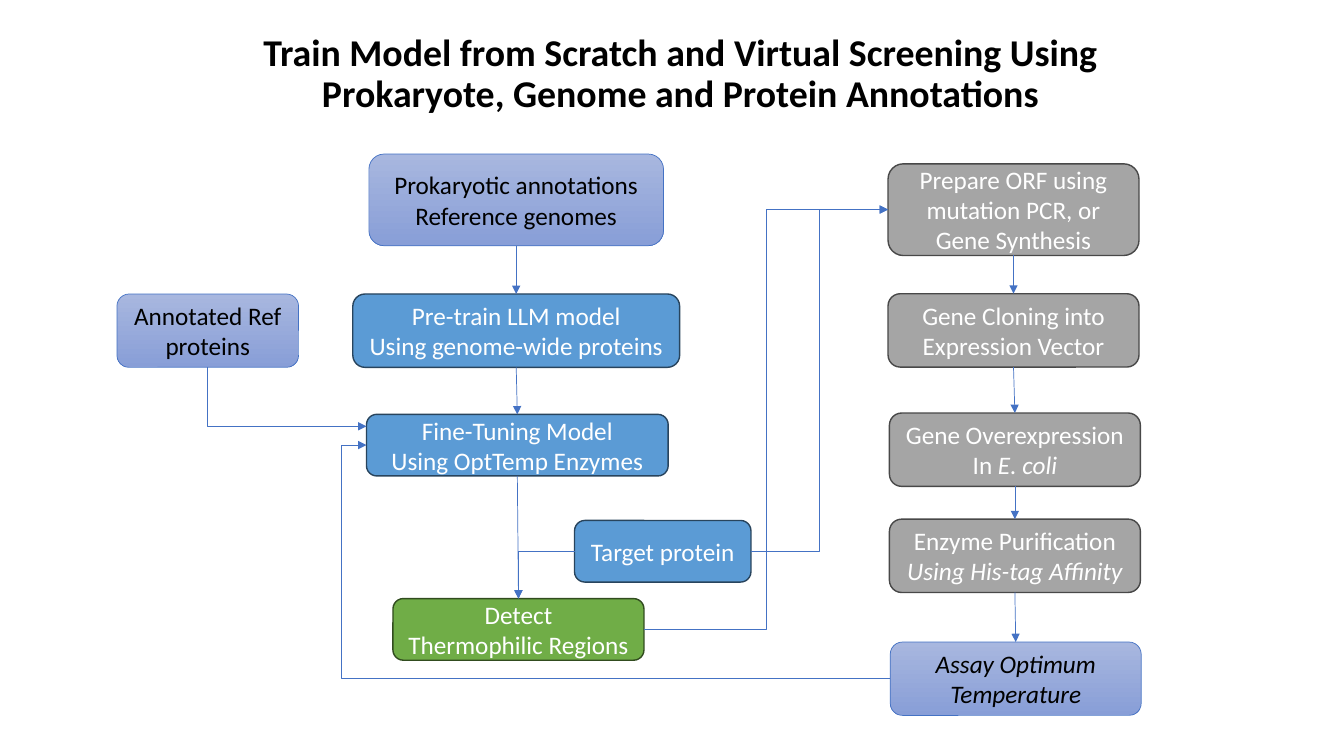
from lxml.etree import SubElement
from pptx import Presentation
from pptx.dml.color import RGBColor
from pptx.enum.shapes import MSO_CONNECTOR as CON, MSO_SHAPE as SHAPE
from pptx.enum.text import MSO_ANCHOR as ANCHOR, MSO_AUTO_SIZE as AUTO, PP_ALIGN as ALIGN
from pptx.oxml.ns import qn
from pptx.util import Pt

BLUE = dict(fill="5B9BD5", line="28445D")
GREEN = dict(fill="70AD47", line="314C1F")
GREY = dict(fill="A5A5A5", line="484848")
DATA = dict(fill=("A8B7DF", "889ED7"), line="4472C4", weight=0.5, color="000000")
TOP, LEFT, BOTTOM, RIGHT = range(4)


def rgb(value):
    return RGBColor.from_string(value)


def put_text(tf, lines, size=18, color="FFFFFF", bold=False, spacing=1.0):
    tf.word_wrap = True
    tf.auto_size = AUTO.NONE
    tf.vertical_anchor = ANCHOR.MIDDLE
    for i, line in enumerate(lines):
        p = tf.add_paragraph() if i else tf.paragraphs[0]
        p.alignment = ALIGN.CENTER
        p.line_spacing = spacing
        for text, italic in [(line, False)] if isinstance(line, str) else line:
            for j, part in enumerate(text.split("\n")):
                if j:
                    p.add_line_break()
                r = p.add_run()
                r.text = part
                r.font.name = "Calibri"
                r.font.size = Pt(size)
                r.font.bold = bold
                r.font.italic = italic
                r.font.color.rgb = rgb(color)


def add_box(s, x, y, w, h, lines, fill, line, weight=1, color="FFFFFF"):
    sp = s.shapes.add_shape(SHAPE.ROUNDED_RECTANGLE, Pt(x), Pt(y), Pt(w), Pt(h))
    sp.shadow.inherit = False
    if isinstance(fill, tuple):
        sp.fill.gradient()
        sp.fill.gradient_angle = 270
        for stop, shade in zip(sp.fill.gradient_stops, fill):
            stop.color.rgb = rgb(shade)
    else:
        sp.fill.solid()
        sp.fill.fore_color.rgb = rgb(fill)
    sp.line.color.rgb = rgb(line)
    sp.line.width = Pt(weight)
    put_text(sp.text_frame, lines, color=color)
    return sp


def add_arrow(s, begin, end, kind=CON.STRAIGHT, preset=None, bend=None, tip="tailEnd"):
    c = s.shapes.add_connector(kind, 0, 0, 0, 0)
    if isinstance(begin[0], (int, float)):
        c.begin_x, c.begin_y = Pt(begin[0]), Pt(begin[1])
    else:
        c.begin_connect(*begin)
    c.end_connect(*end)
    c.line.color.rgb = rgb("4472C4")
    c.line.width = Pt(0.5)
    SubElement(c.get_or_add_ln(), qn("a:" + tip), type="triangle")
    props = c._element.spPr
    SubElement(props, qn("a:effectLst"))
    geom = props.find(qn("a:prstGeom"))
    if preset:
        geom.set("prst", preset)
    if bend is not None:
        guides = geom.find(qn("a:avLst"))
        SubElement(guides, qn("a:gd"), name="adj1", fmla=f"val {round(bend * 100000)}")


def add_chain(s, boxes):
    for upper, lower in zip(boxes, boxes[1:]):
        add_arrow(s, (upper, BOTTOM), (lower, TOP))


def add_title(s, x, y, w, h):
    sp = s.shapes.title
    sp.left, sp.top, sp.width, sp.height = Pt(x), Pt(y), Pt(w), Pt(h)
    title = ("Train Model from Scratch and Virtual Screening Using\n"
             "Prokaryote, Genome and Protein Annotations")
    put_text(sp.text_frame, [title], size=27, color="000000", bold=True, spacing=0.9)


def add_model(s, x, y, w):
    steps = [
        (0, 0, 210.5, 65.5, ["Prokaryotic annotations", "Reference genomes"], DATA),
        (0, 100, 233.5, 52.4, ["Pre-train LLM model", "Using genome-wide proteins"], BLUE),
        (0.8, 186, 215.5, 44, ["Fine-Tuning Model", "Using OptTemp Enzymes"], BLUE),
        (1.6, 317.6, 179.3, 44, ["Detect", "Thermophilic Regions"], GREEN),
    ]
    boxes = [add_box(s, x + (w - bw) / 2 + dx, y + dy, bw, h, lines, **style)
             for dx, dy, bw, h, lines, style in steps]
    add_chain(s, boxes)
    return boxes


def add_lab(s, x, y, w):
    steps = [
        (0, 0, 65.5, ["Prepare ORF using mutation PCR, or", "Gene Synthesis"], GREY),
        (0, 92.8, 52.4, ["Gene Cloning into", "Expression Vector"], GREY),
        (1, 178, 52.4, ["Gene Overexpression", [("In ", False), ("E. coli", True)]], GREY),
        (1, 253.8, 52.4, ["Enzyme Purification", [("Using His-tag Affinity", True)]], GREY),
        (1.6, 341.6, 52.4, [[("Assay Optimum Temperature", True)]], DATA),
    ]
    boxes = [add_box(s, x + dx, y + dy, w, h, lines, **style)
             for dx, dy, h, lines, style in steps]
    add_chain(s, boxes)
    return boxes


def add_links(s, model, lab, target, refs):
    tuning, detect = model[2:]
    prepare, assay = lab[0], lab[-1]
    add_arrow(s, (detect, RIGHT), (prepare, LEFT), CON.ELBOW, bend=0.5)
    add_arrow(s, (target, RIGHT), (prepare, LEFT), CON.ELBOW, bend=0.5)
    add_arrow(s, (assay, LEFT), (tuning, LEFT), CON.ELBOW, bend=1.048)
    add_arrow(s, (target, LEFT), (detect, TOP), CON.ELBOW, preset="bentConnector2")
    entry = tuning.left.pt, tuning.top.pt + 8.5
    add_arrow(s, entry, (refs, BOTTOM), CON.ELBOW, preset="bentConnector2", tip="headEnd")


def main():
    prs = Presentation()
    prs.slide_width, prs.slide_height = Pt(960), Pt(540)
    s = prs.slides.add_slide(prs.slide_layouts[5])
    add_title(s, 162, 18, 648, 71.3)
    model = add_model(s, 252, 110, 233.5)
    lab = add_lab(s, 634.3, 117, 179.3)
    target = add_box(s, 410.4, 371.8, 126, 44, ["Target protein"], **BLUE)
    refs = add_box(s, 83.5, 210, 129.8, 52.4, ["Annotated Ref proteins"], **DATA)
    add_links(s, model, lab, target, refs)
    prs.save("out.pptx")


if __name__ == "__main__":
    main()
